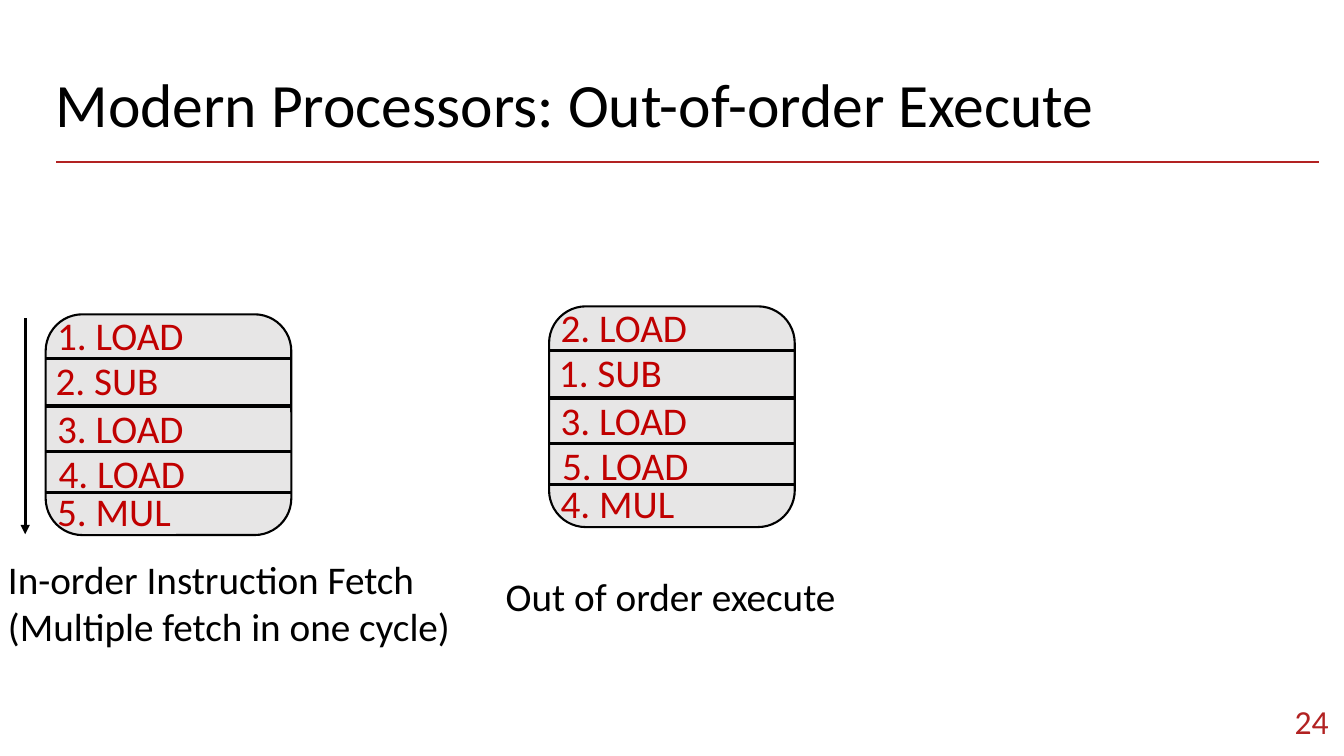
import pptx
import pptx.util
import pptx.dml.color
import pptx.enum.shapes
import pptx.enum.text
import pptx.oxml
import pptx.oxml.ns

Pt = pptx.util.Pt
ALIGN = pptx.enum.text.PP_ALIGN
ANCHOR = pptx.enum.text.MSO_ANCHOR
AUTO_SIZE = pptx.enum.text.MSO_AUTO_SIZE

COLORS = {
    "text": "000000",
    "accent": "B22222",
    "instruction": "C00000",
    "panel": "E7E6E6",
}


class SlideBuilder:
    """Holds the style and the current slide."""

    font_name = "Calibri"

    def __init__(self, presentation):
        self.slide = presentation.slides.add_slide(presentation.slide_layouts[5])

    def color(self, name):
        return pptx.dml.color.RGBColor.from_string(COLORS[name])

    def apply(self, target, values):
        for name, value in values.items():
            setattr(target, name, value)

    def set_text(self, shape, lines, size, color, frame_format, paragraph_format):
        frame = shape.text_frame
        frame.text = "\n".join(lines)
        self.apply(frame, frame_format)
        for paragraph in frame.paragraphs:
            self.apply(paragraph, paragraph_format)
            self.apply(paragraph.font, {"name": self.font_name, "size": Pt(size)})
            paragraph.font.color.rgb = self.color(color)

    def title(self, text, left, top, width, height):
        shape = self.slide.shapes.title
        self.apply(shape, {"left": Pt(left), "top": Pt(top),
                           "width": Pt(width), "height": Pt(height)})
        margins = {f"margin_{side}": Pt(7.2) for side in ("left", "top", "right", "bottom")}
        self.set_text(shape, [text], 44, "text",
                      {"word_wrap": True, "auto_size": AUTO_SIZE.NONE,
                       "vertical_anchor": ANCHOR.TOP, **margins},
                      {"alignment": ALIGN.LEFT, "line_spacing": 0.9})

    def text(self, lines, left, top, width, height, size=28, color="text",
             align=ALIGN.LEFT, **frame_format):
        shape = self.slide.shapes.add_textbox(Pt(left), Pt(top), Pt(width), Pt(height))
        frame_format = {"word_wrap": True, "auto_size": AUTO_SIZE.SHAPE_TO_FIT_TEXT,
                        **frame_format}
        self.set_text(shape, lines, size, color, frame_format, {"alignment": align})

    def panel(self, left, top, width, height):
        shape = self.slide.shapes.add_shape(
            pptx.enum.shapes.MSO_SHAPE.ROUNDED_RECTANGLE,
            Pt(left), Pt(top), Pt(width), Pt(height))
        shape.shadow.inherit = False
        shape.fill.solid()
        shape.fill.fore_color.rgb = self.color("panel")
        shape.line.color.rgb = self.color("text")
        shape.line.width = Pt(1.5)

    def line(self, start, end, color="text", width=2.25, arrow=False):
        connector = self.slide.shapes.add_connector(
            pptx.enum.shapes.MSO_CONNECTOR.STRAIGHT,
            *(Pt(value) for value in (*start, *end)))
        connector.line.color.rgb = self.color(color)
        connector.line.width = Pt(width)
        properties = connector._element.spPr
        namespace = pptx.oxml.ns.nsdecls("a")
        if arrow:
            properties.find(pptx.oxml.ns.qn("a:ln")).append(
                pptx.oxml.parse_xml(f'<a:tailEnd {namespace} type="triangle"/>'))
        properties.append(pptx.oxml.parse_xml(f'<a:effectLst {namespace}/>'))

    def instruction_stack(self, left, top, instructions):
        """Draws a panel with one instruction in each row."""
        width = 175.5
        self.panel(left, top, width, 157.7)
        for offset in (31.7, 65.5, 97.9, 127.4):
            self.line((left, top + offset), (left + width, top + offset))
        label_places = ((1.2, -5.8), (0, 26.8), (1.2, 60.5), (2.2, 92.9), (1.2, 120.2))
        for instruction, (indent, offset) in zip(instructions, label_places):
            self.text([instruction], left + indent, top + offset, 105.8, 41,
                      color="instruction", word_wrap=False)


def main():
    presentation = pptx.Presentation()
    presentation.slide_width, presentation.slide_height = Pt(960), Pt(540)
    builder = SlideBuilder(presentation)

    # Title, rule and slide number
    builder.line((40.3, 115.5), (942.5, 115.5), "accent", 1.5)
    builder.title("Modern Processors: Out-of-order Execute", 32.4, 46.1, 894.2, 60.5)
    builder.text(["24"], 883.4, 494.6, 72.7, 41, size=24, color="accent",
                 align=ALIGN.RIGHT, vertical_anchor=ANCHOR.MIDDLE,
                 auto_size=AUTO_SIZE.NONE)

    # In-order fetch
    builder.instruction_stack(
        32.6, 224.5, ["1. LOAD", "2. SUB", "3. LOAD", "4. LOAD", "5. MUL"])
    builder.line((18, 227.5), (18, 381.6), arrow=True)
    builder.text(["In-order Instruction Fetch", "(Multiple fetch in one cycle)"],
                 -1.4, 393.1, 345.6, 74.9)

    # Out-of-order execute
    builder.instruction_stack(
        392.2, 218.8, ["2. LOAD", "1. SUB", "3. LOAD", "5. LOAD", "4. MUL"])
    builder.text(["Out of order execute"], 354.2, 405.4, 345.6, 41)

    presentation.save("out.pptx")


if __name__ == "__main__":
    main()
